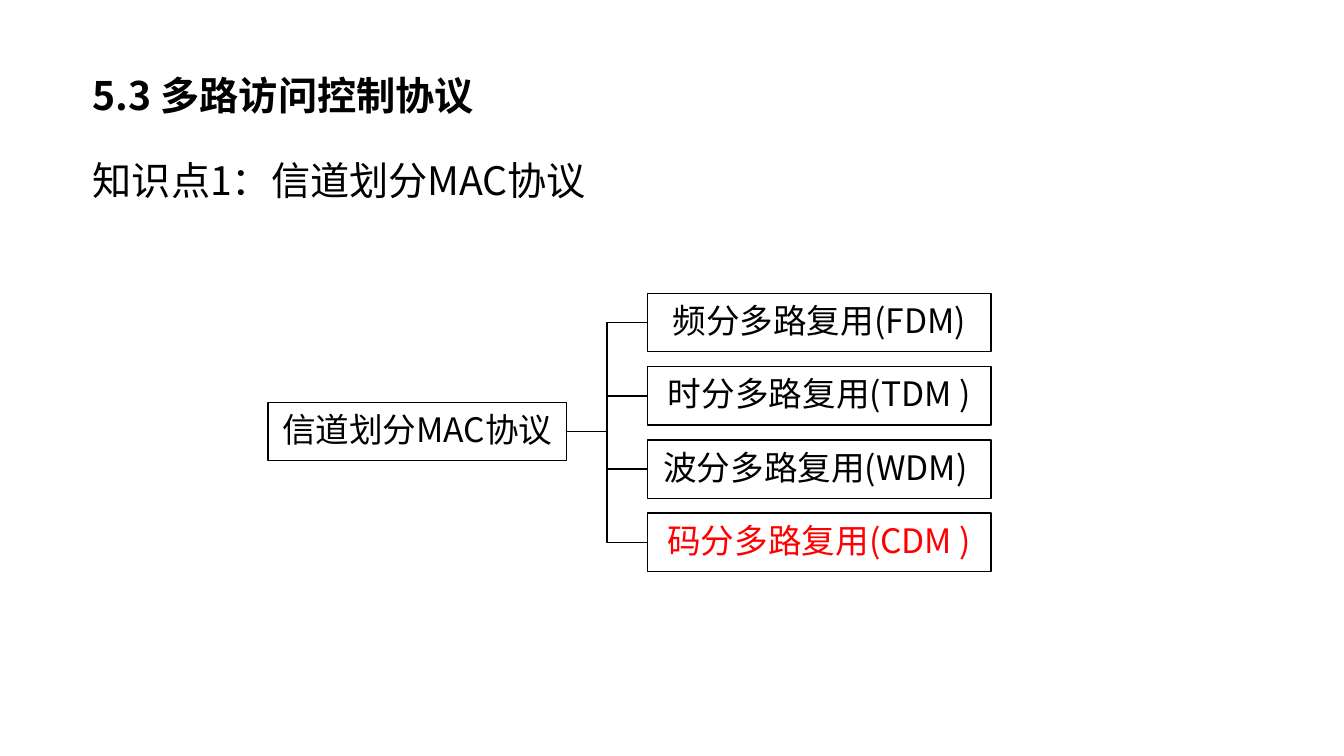
from dataclasses import dataclass

from lxml import etree
from pptx import Presentation
from pptx.dml.color import RGBColor
from pptx.enum import shapes, text
from pptx.oxml import ns
from pptx.util import Inches, Pt


@dataclass
class Theme:
    font: str = "Noto Sans CJK SC"
    ink: RGBColor = RGBColor(0, 0, 0)
    accent: RGBColor = RGBColor(255, 0, 0)
    paper: RGBColor = RGBColor(255, 255, 255)
    heading: Pt = Pt(28)
    label: Pt = Pt(24)
    line: Pt = Pt(1)


theme = Theme()
deck = Presentation()
deck.slide_width, deck.slide_height = Inches(13.33), Inches(7.5)
page = deck.slides.add_slide(deck.slide_layouts[6])


def write(box, words, size, color, margins, spacing=1.0, bold=False):
    frame = box.text_frame
    frame.word_wrap = True
    frame.margin_left = frame.margin_right = Inches(margins[0])
    frame.margin_top = frame.margin_bottom = Inches(margins[1])
    para = frame.paragraphs[0]
    para.text = words
    para.line_spacing = spacing
    span = para.runs[0]
    span.font.name, span.font.size, span.font.bold = theme.font, size, bold
    span.font.color.rgb = color
    east_asian = etree.SubElement(span.font._element, ns.qn("a:ea"))
    east_asian.set("typeface", theme.font)
    return para


def add_node(words, left, top, width, color):
    node = page.shapes.add_shape(shapes.MSO_SHAPE.RECTANGLE, Inches(left),
                                 Inches(top), Inches(width), Inches(0.58))
    node.shadow.inherit = False
    node.fill.solid()
    node.fill.fore_color.rgb = theme.paper
    node.line.color.rgb, node.line.width = theme.ink, theme.line
    node.text_frame.vertical_anchor = text.MSO_ANCHOR.MIDDLE
    para = write(node, words, theme.label, color, (0.02, 0.02), 0.9)
    para.alignment = text.PP_ALIGN.CENTER
    return node


# Headings
title = page.shapes.add_textbox(Inches(0.8), Inches(0.65), Inches(9.65), Inches(0.59))
write(title, "5.3 多路访问控制协议", theme.heading, theme.ink, (0.12, 0.06), bold=True)

topic = page.shapes.add_textbox(Inches(0.8), Inches(1.15), Inches(12.16), Inches(1.04))
topic.text_frame.vertical_anchor = text.MSO_ANCHOR.MIDDLE
write(topic, "知识点1：信道划分MAC协议", theme.heading, theme.ink, (0.12, 0.06), 1.5)

# Tree: one root, four branches at an equal pitch
root = add_node("信道划分MAC协议", 2.66, 3.99, 2.96, theme.ink)
branches = [
    ("频分多路复用(FDM)", theme.ink),
    ("时分多路复用(TDM )", theme.ink),
    ("波分多路复用(WDM) ", theme.ink),
    ("码分多路复用(CDM )", theme.accent),
]
for row, (words, color) in enumerate(branches):
    branch = add_node(words, 6.42, 2.91 + 0.727 * row, 3.41, color)
    link = page.shapes.add_connector(shapes.MSO_CONNECTOR.ELBOW, 0, 0, 0, 0)
    link.begin_connect(root, 3)
    link.end_connect(branch, 1)
    link.line.color.rgb, link.line.width = theme.ink, theme.line
    etree.SubElement(link._element.spPr, ns.qn("a:effectLst"))

deck.save("out.pptx")
